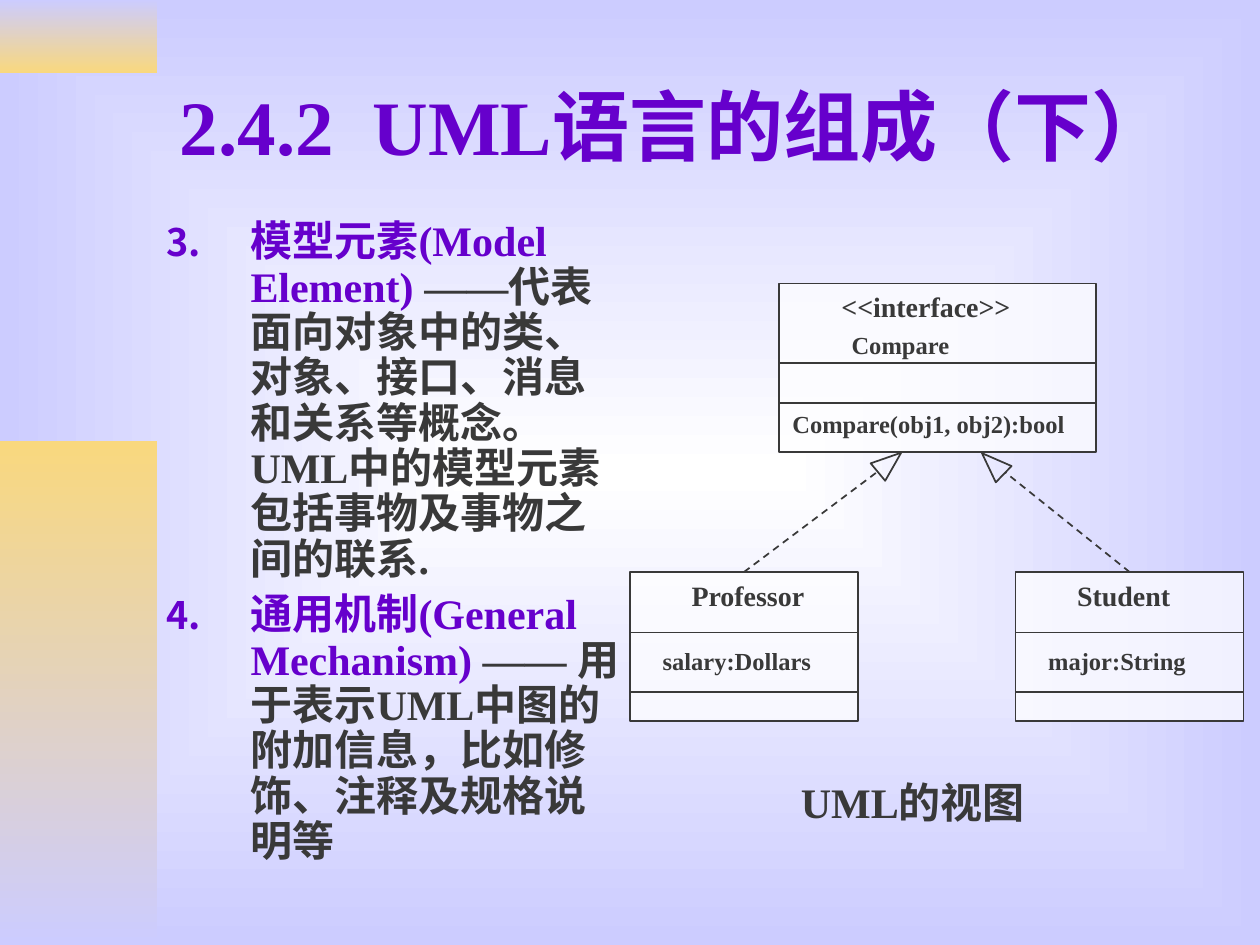
from lxml.etree import SubElement
from pptx import Presentation
from pptx.dml.color import RGBColor
from pptx.enum.dml import MSO_LINE
from pptx.enum.shapes import MSO_CONNECTOR as Connector, MSO_SHAPE as Shape
from pptx.enum.text import MSO_ANCHOR as Anchor, PP_ALIGN as Align
from pptx.oxml.ns import qn
from pptx.util import Inches, Pt

COLORS = {"white": "FFFFFF", "lavender": "CCCCFF", "gold": "F9D87E",
          "purple": "6600CC", "ink": "393939"}
FONT = "Times New Roman"
TOP_SIDE = 0


def rgb(name):
    return RGBColor.from_string(COLORS[name])


class SlideBuilder:
    """Holds the style and the current slide."""

    def __init__(self, page):
        self.page = page

    def gradient(self, fill, start, end):
        fill.gradient()
        for stop, name in zip(fill.gradient_stops, (start, end)):
            stop.color.rgb = rgb(name)

    def background(self, center, edge):
        fill = self.page.background.fill
        self.gradient(fill, center, edge)
        grad = self.page.element.find(".//" + qn("a:gradFill"))
        grad.remove(grad.find(qn("a:lin")))
        path = SubElement(grad, qn("a:path"), path="rect")
        SubElement(path, qn("a:fillToRect"), l="50000", t="50000", r="50000", b="50000")

    def shape(self, kind, left, top, width, height):
        shape = self.page.shapes.add_shape(
            kind, Inches(left), Inches(top), Inches(width), Inches(height))
        shape.shadow.inherit = False
        return shape

    def band(self, top, height, start, end):
        band = self.shape(Shape.RECTANGLE, 0, top, 1.25, height)
        self.gradient(band.fill, start, end)
        band.fill.gradient_angle = 270
        band.line.fill.background()

    def outline(self, line):
        line.color.rgb = rgb("ink")
        line.width = Pt(1)

    def line(self, start, end, dashed=False):
        line = self.page.shapes.add_connector(
            Connector.STRAIGHT, *(Inches(value) for value in start + end))
        self.outline(line.line)
        if dashed:
            line.line.dash_style = MSO_LINE.DASH
        SubElement(line._element.spPr, qn("a:effectLst"))
        return line

    def arrowhead(self, left, top, angle):
        head = self.shape(Shape.FLOWCHART_EXTRACT, left, top, 0.18, 0.24)
        head.fill.background()
        self.outline(head.line)
        head.rotation = angle

    def frame(self, left, top, width, height):
        box = self.page.shapes.add_textbox(
            Inches(left), Inches(top), Inches(width), Inches(height))
        box.text_frame.word_wrap = True
        return box.text_frame

    def span(self, para, text, size, color="ink"):
        span = para.add_run()
        span.text = text
        span.font.name = FONT
        span.font.size = Pt(size)
        span.font.bold = True
        span.font.color.rgb = rgb(color)

    def label(self, left, top, width, height, text, size, align=Align.LEFT):
        para = self.frame(left, top, width, height).paragraphs[0]
        para.alignment = align
        self.span(para, text, size)

    def title(self, number, text, gap):
        frame = self.frame(1.33, 0.33, 8.5, 1.32)
        frame.vertical_anchor = Anchor.MIDDLE
        para = frame.paragraphs[0]
        tabs = SubElement(para._p.get_or_add_pPr(), qn("a:tabLst"))
        SubElement(tabs, qn("a:tab"), pos=str(Inches(gap)), algn="l")
        self.span(para, f"{number}\t{text}", 44, "purple")

    def numbered_list(self, items, first_number):
        frame = self.frame(1.22, 1.7, 3.86, 5.43)
        for index, (term, meaning) in enumerate(items):
            para = frame.add_paragraph() if index else frame.paragraphs[0]
            props = para._p.get_or_add_pPr()
            props.set("marL", str(Inches(0.67)))
            props.set("indent", str(-Inches(0.67)))
            color = SubElement(props, qn("a:buClr"))
            SubElement(color, qn("a:srgbClr"), val=COLORS["purple"])
            SubElement(props, qn("a:buSzPct"), val="90000")
            SubElement(props, qn("a:buAutoNum"), type="arabicPeriod",
                       startAt=str(first_number))
            para.line_spacing = 0.9
            if index:
                para.space_before = Pt(6)
            self.span(para, term, 24, "purple")
            self.span(para, meaning, 24)

    def uml_class(self, left, top, width, height, dividers, labels):
        """Draw a class box; dividers and labels are offsets from its corner."""
        box = self.shape(Shape.RECTANGLE, left, top, width, height)
        box.fill.solid()
        box.fill.fore_color.rgb = rgb("white")
        color = box._element.spPr.find(".//" + qn("a:srgbClr"))
        SubElement(color, qn("a:alpha"), val="73000")
        self.outline(box.line)
        for offset in dividers:
            self.line((left, top + offset), (left + width, top + offset))
        for across, down, label_width, text, size in labels:
            self.label(left + across, top + down, label_width, 0.35, text, size)
        return box


def main():
    deck = Presentation()
    deck.slide_width, deck.slide_height = Inches(10), Inches(7.5)
    builder = SlideBuilder(deck.slides.add_slide(deck.slide_layouts[6]))

    # Backdrop and side bands
    builder.background("white", "lavender")
    builder.band(0, 0.58, "lavender", "gold")
    builder.band(3.5, 4, "gold", "lavender")

    # Title and numbered text
    builder.title("2.4.2", "UML语言的组成（下）", 1.53)
    builder.numbered_list([
        ("模型元素(Model Element)",
         " ——代表面向对象中的类、对象、接口、消息和关系等概念。"
         "UML中的模型元素包括事物及事物之间的联系."),
        ("通用机制(General Mechanism)",
         " —— 用于表示UML中图的附加信息，比如修饰、注释及规格说明等"),
    ], first_number=3)

    # Interface
    builder.uml_class(6.18, 2.25, 2.52, 1.34, (0.63, 0.95), [
        (0.4, 0, 1.57, "<<interface>>", 16),
        (0.48, 0.32, 1.65, "Compare", 14),
        (0.01, 0.95, 2.4, "Compare(obj1, obj2):bool", 14),
    ])

    # Implementing classes, each with its dashed realization arrow
    for left, name, attribute, tip, head, angle in (
            (5, "Professor", "salary:Dollars", (6.97, 3.74), (6.97, 3.55), 50.3),
            (8.06, "Student", "major:String", (7.98, 3.75), (7.79, 3.56), 314.1)):
        box = builder.uml_class(left, 4.54, 1.81, 1.18, (0.48, 0.95), [
            (0.39, 0, 1.18, name, 16),
            (0.16, 0.54, 1.49, attribute, 14),
        ])
        builder.arrowhead(*head, angle)
        arrow = builder.line((left + 0.9, 4.54), tip, dashed=True)
        arrow.begin_connect(box, TOP_SIDE)

    # Caption
    builder.label(5.16, 6.11, 4.17, 0.5, "UML的视图", 24, Align.CENTER)

    deck.save("out.pptx")


if __name__ == "__main__":
    main()
